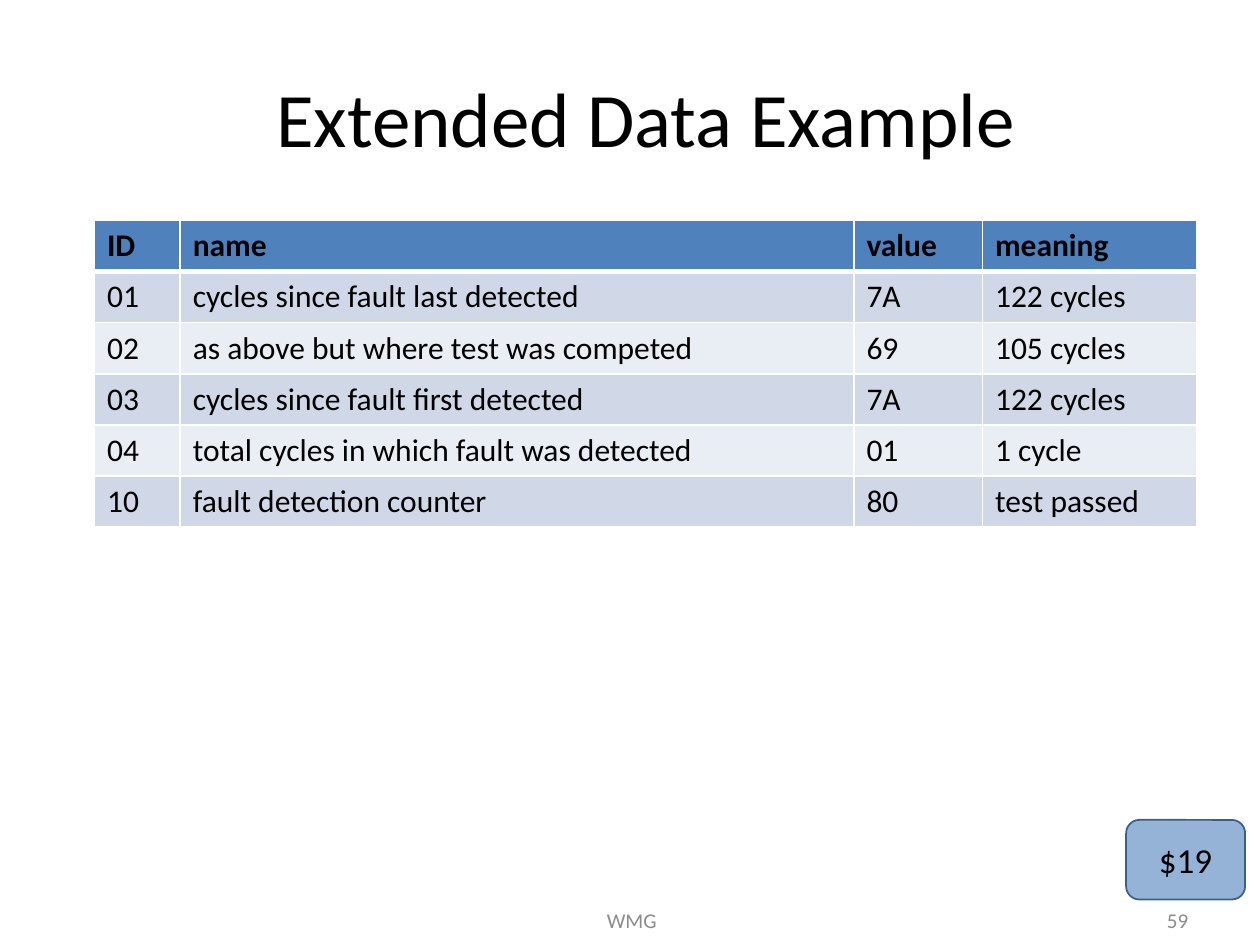
from dataclasses import dataclass

from lxml.etree import SubElement
from pptx import Presentation
from pptx.dml.color import RGBColor
from pptx.enum.shapes import MSO_SHAPE
from pptx.enum.text import MSO_ANCHOR as ANCHOR, PP_ALIGN as ALIGN
from pptx.oxml.ns import qn
from pptx.util import Pt

FONT = "Calibri"
BLACK, WHITE, GREY = "000000", "FFFFFF", "8C8C8C"
HEADER_FILL, BAND_FILLS = "4F81BD", ("D0D8E8", "E9EDF4")
COLUMN_WIDTHS = (49, 385, 73.5, 122.5)
ROW_HEIGHT = 29.2


@dataclass(frozen=True)
class Box:
    left: float
    top: float
    width: float
    height: float

    def lengths(self):
        return tuple(Pt(n) for n in (self.left, self.top, self.width, self.height))


@dataclass(frozen=True)
class FooterItem:
    text: str
    box: Box
    align: ALIGN


@dataclass(frozen=True)
class DataRecord:
    id: str
    name: str
    value: str
    meaning: str

    def texts(self):
        return self.id, self.name, self.value, self.meaning


RECORDS = (
    DataRecord("ID", "name", "value", "meaning"),
    DataRecord("01", "cycles since fault last detected", "7A", "122 cycles"),
    DataRecord("02", "as above but where test was competed", "69", "105 cycles"),
    DataRecord("03", "cycles since fault first detected", "7A", "122 cycles"),
    DataRecord("04", "total cycles in which fault was detected", "01", "1 cycle"),
    DataRecord("10", "fault detection counter", "80", "test passed"),
)
FOOTER = (
    FooterItem("WMG", Box(247, 511, 228, 29), ALIGN.CENTER),
    FooterItem("59", Box(518, 511, 168, 29), ALIGN.RIGHT),
)


def rgb(color: str) -> RGBColor:
    return RGBColor.from_string(color)


def write(tf, text: str, *, size: float, color: str = BLACK,
          bold: bool = False, align: ALIGN = ALIGN.LEFT) -> None:
    p = tf.paragraphs[0]
    p.alignment = align
    r = p.add_run()
    r.text = text
    r.font.name, r.font.size, r.font.bold = FONT, Pt(size), bold
    r.font.color.rgb = rgb(color)


def set_borders(cell, **widths: float) -> None:
    """Draw white borders, keyed by side (L, R, T, B), before the cell's fill is set."""
    for side, width in widths.items():
        ln = SubElement(cell._tc.get_or_add_tcPr(), qn(f"a:ln{side}"), w=str(Pt(width)))
        SubElement(SubElement(ln, qn("a:solidFill")), qn("a:srgbClr"), val=WHITE)


def add_title(s, text: str, box: Box) -> None:
    title = s.shapes.title
    title.left, title.top, title.width, title.height = box.lengths()
    title.text_frame.vertical_anchor = ANCHOR.MIDDLE
    write(title.text_frame, text, size=44, align=ALIGN.CENTER)


def add_record_table(s, records: tuple[DataRecord, ...], left: float, top: float) -> None:
    box = Box(left, top, sum(COLUMN_WIDTHS), ROW_HEIGHT * len(records))
    table = s.shapes.add_table(len(records), len(COLUMN_WIDTHS), *box.lengths()).table
    for column, width in zip(table.columns, COLUMN_WIDTHS):
        column.width = Pt(width)
    for i, record in enumerate(records):
        table.rows[i].height = Pt(ROW_HEIGHT)
        header = i == 0
        for cell, text in zip(table.rows[i].cells, record.texts()):
            set_borders(cell, L=1, R=1, T=3 if i == 1 else 1, B=3 if header else 1)
            cell.fill.solid()
            cell.fill.fore_color.rgb = rgb(HEADER_FILL if header else BAND_FILLS[(i - 1) % 2])
            write(cell.text_frame, text, size=18, bold=header)


def add_badge(s, text: str, box: Box) -> None:
    sp = s.shapes.add_shape(MSO_SHAPE.ROUNDED_RECTANGLE, *box.lengths())
    sp.shadow.inherit = False
    sp.fill.solid()
    sp.fill.fore_color.rgb = rgb("95B3D7")
    sp.line.color.rgb = rgb("3A5F8C")
    sp.line.width = Pt(1)
    sp.text_frame.vertical_anchor = ANCHOR.MIDDLE
    write(sp.text_frame, text, size=20, align=ALIGN.CENTER)


def add_footer_item(s, item: FooterItem) -> None:
    tf = s.shapes.add_textbox(*item.box.lengths()).text_frame
    tf.word_wrap = True
    tf.vertical_anchor = ANCHOR.MIDDLE
    write(tf, item.text, size=12, color=GREY, align=item.align)


def main() -> None:
    prs = Presentation()
    prs.slide_width, prs.slide_height = Pt(720), Pt(540)
    s = prs.slides.add_slide(prs.slide_layouts.get_by_name("Title Only"))
    add_title(s, "Extended Data Example", Box(54, 21.6, 630, 90))
    add_record_table(s, RECORDS, 54, 126)
    add_badge(s, "$19", Box(643.5, 468.5, 68, 45.5))
    for item in FOOTER:
        add_footer_item(s, item)
    prs.save("out.pptx")


if __name__ == "__main__":
    main()
